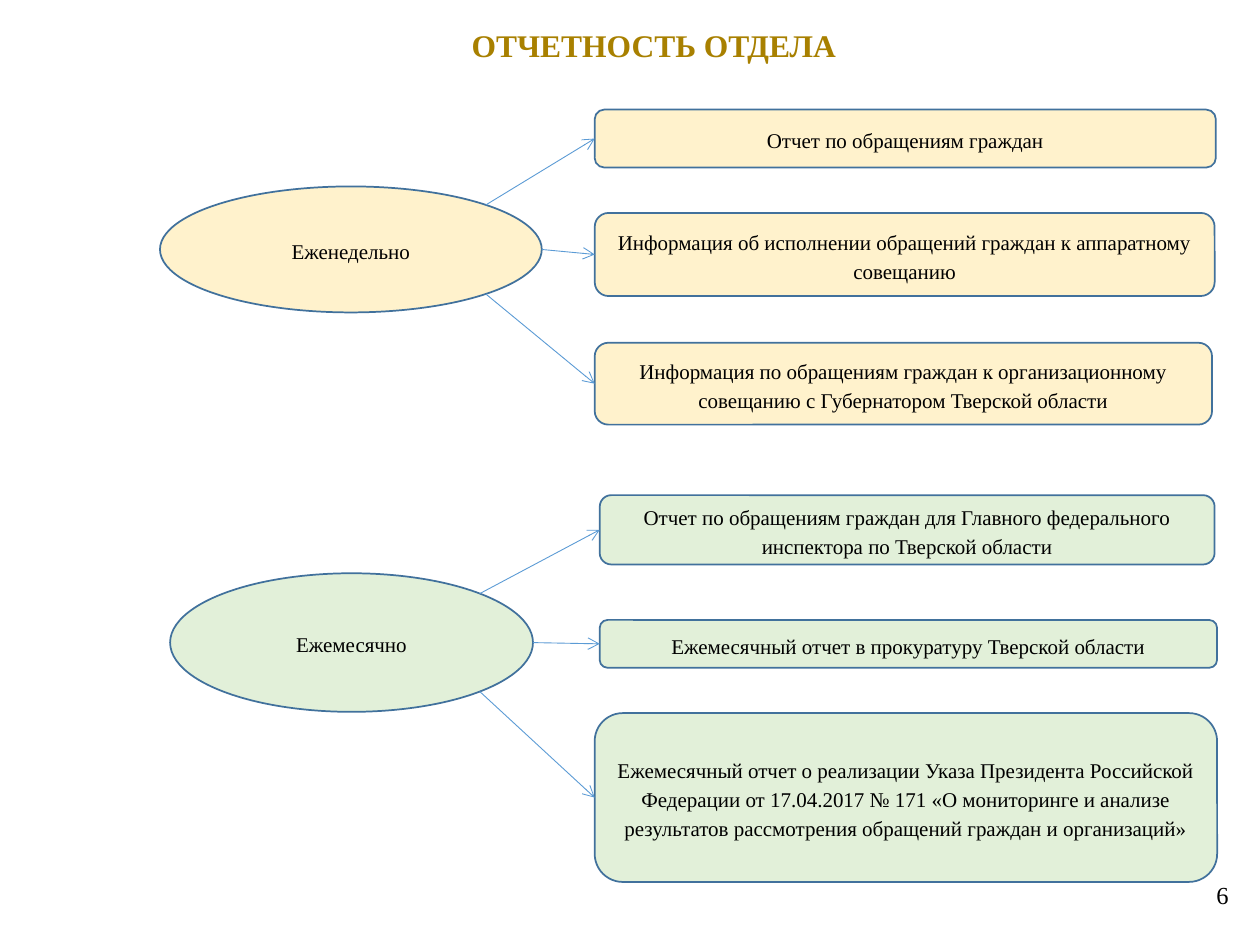
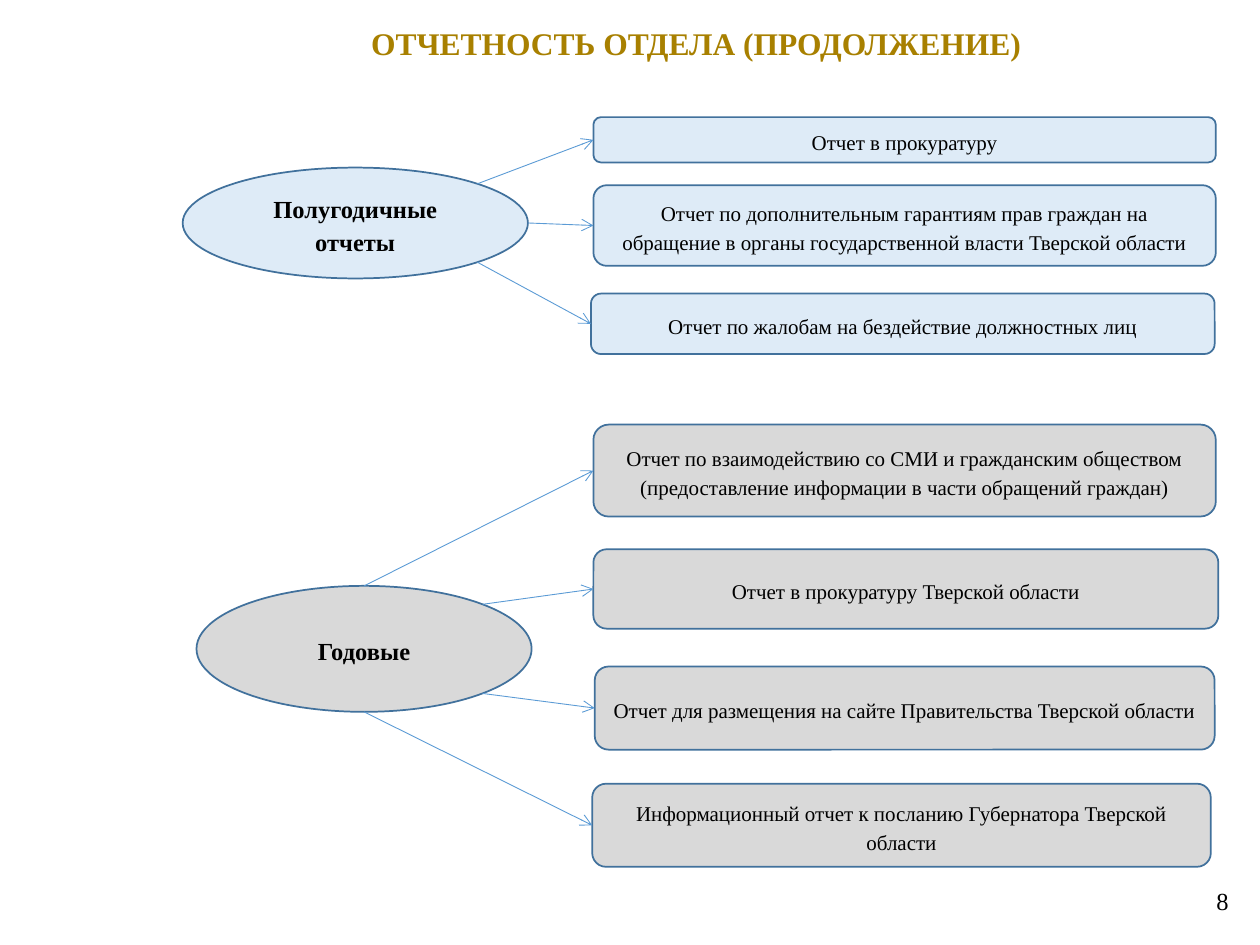
"""Build two slides that map reporting periods to the department's reports."""
from dataclasses import dataclass
from math import cos, radians, sin

from lxml.etree import SubElement as Sub
from pptx import Presentation
from pptx.dml.color import RGBColor as Rgb
from pptx.enum.shapes import MSO_CONNECTOR as Link, MSO_SHAPE as Kind
from pptx.enum.text import MSO_ANCHOR as Anchor, MSO_AUTO_SIZE as Fit, PP_ALIGN as Align
from pptx.oxml.ns import qn
from pptx.shapes.autoshape import Shape
from pptx.slide import Slide
from pptx.text.text import TextFrame as Frame
from pptx.util import Inches, Pt


@dataclass(frozen=True)
class Theme:
    font: str = "Times New Roman"
    gold: str = "A88000"
    ink: str = "000000"
    edge: str = "41719C"
    arrow: str = "5B9BD5"
    cream: str = "FFF2CC"
    green: str = "E2F0D9"
    blue: str = "DEEBF7"
    gray: str = "D9D9D9"
    head: float = 18
    large: float = 14
    small: float = 12
    space: float = 1.15


THEME = Theme()
FANS = {3: (-45, 0, 45), 4: (-90, -45, 45, 90)}


@dataclass(frozen=True)
class Area:
    left: float
    top: float
    width: float
    height: float

    def lengths(self) -> list[int]:
        return [Inches(n) for n in (self.left, self.top, self.width, self.height)]

    def rim(self, angle: float) -> tuple[int, int]:
        """Return the point of the inscribed ellipse at an angle."""
        turn = radians(angle)
        return (Inches(self.left + self.width * (1 + cos(turn)) / 2),
                Inches(self.top + self.height * (1 + sin(turn)) / 2))


@dataclass(frozen=True)
class Item:
    text: str
    area: Area


@dataclass(frozen=True)
class Group:
    period: Item
    fill: str
    reports: tuple[Item, ...]
    size: float = THEME.small
    bold: bool = False


@dataclass(frozen=True)
class Page:
    title: Item
    number: Item
    groups: tuple[Group, ...]


PAGES = (
    Page(
        Item("ОТЧЕТНОСТЬ ОТДЕЛА", Area(1.98, 0.16, 6.42, 0.7)),
        Item("6", Area(9.41, 6.9, 0.44, 0.4)),
        (
            Group(Item("Еженедельно", Area(1.27, 1.48, 3.03, 1)), THEME.cream, (
                Item("Отчет по обращениям граждан", Area(4.72, 0.87, 4.93, 0.46)),
                Item("Информация об исполнении обращений граждан к аппаратному совещанию",
                     Area(4.72, 1.69, 4.92, 0.66)),
                Item("Информация по обращениям граждан к организационному совещанию "
                     "с Губернатором Тверской области", Area(4.72, 2.72, 4.9, 0.65)),
            )),
            Group(Item("Ежемесячно", Area(1.35, 4.55, 2.88, 1.1)), THEME.green, (
                Item("Отчет по обращениям граждан для Главного федерального инспектора "
                     "по Тверской области", Area(4.76, 3.93, 4.88, 0.55)),
                Item("Ежемесячный отчет в прокуратуру Тверской области",
                     Area(4.76, 4.92, 4.9, 0.38)),
                Item("Ежемесячный отчет о реализации Указа Президента Российской Федерации "
                     "от 17.04.2017 № 171 «О мониторинге и анализе результатов рассмотрения "
                     "обращений граждан и организаций»", Area(4.72, 5.66, 4.94, 1.34)),
            )),
        ),
    ),
    Page(
        Item("ОТЧЕТНОСТЬ ОТДЕЛА (ПРОДОЛЖЕНИЕ)", Area(1.27, 0.14, 8.51, 0.7)),
        Item("8", Area(9.37, 6.95, 0.48, 0.4)),
        (
            Group(Item("Полугодичные отчеты", Area(1.45, 1.33, 2.74, 0.88)), THEME.blue, (
                Item("Отчет в прокуратуру", Area(4.71, 0.93, 4.94, 0.36)),
                Item("Отчет по дополнительным гарантиям прав граждан на обращение "
                     "в органы государственной власти Тверской области",
                     Area(4.71, 1.47, 4.94, 0.64)),
                Item("Отчет по жалобам на бездействие должностных лиц",
                     Area(4.69, 2.33, 4.95, 0.48)),
            ), THEME.large, True),
            Group(Item("Годовые", Area(1.56, 4.65, 2.66, 1)), THEME.gray, (
                Item("Отчет по взаимодействию со СМИ и гражданским обществом "
                     "(предоставление информации в части обращений граждан)",
                     Area(4.71, 3.37, 4.94, 0.73)),
                Item("Отчет в прокуратуру Тверской области", Area(4.71, 4.36, 4.96, 0.63)),
                Item("Отчет для размещения на сайте Правительства Тверской области",
                     Area(4.72, 5.29, 4.92, 0.66)),
                Item("Информационный отчет к посланию Губернатора Тверской области",
                     Area(4.7, 6.22, 4.91, 0.66)),
            ), THEME.large, True),
        ),
    ),
)


def write(frame: Frame, text: str, size: float, color: str = THEME.ink, bold: bool = False,
          align: Align = Align.CENTER, anchor: Anchor = Anchor.MIDDLE, space: float = 1.0) -> None:
    frame.text = text
    frame.word_wrap = True
    frame.auto_size = Fit.NONE
    frame.vertical_anchor = anchor
    line = frame.paragraphs[0]
    line.alignment = align
    line.line_spacing = space
    font = line.runs[0].font
    font.name, font.size, font.bold = THEME.font, Pt(size), bold
    font.color.rgb = Rgb.from_string(color)


def add_node(slide: Slide, kind: Kind, item: Item, fill: str,
             size: float = THEME.small, bold: bool = False) -> Shape:
    node = slide.shapes.add_shape(kind, *item.area.lengths())
    node.shadow.inherit = False
    node.fill.solid()
    node.fill.fore_color.rgb = Rgb.from_string(fill)
    node.line.color.rgb = Rgb.from_string(THEME.edge)
    node.line.width = Pt(1)
    write(node.text_frame, item.text, size, bold=bold, space=THEME.space)
    return node


def add_arrow(slide: Slide, start: tuple[int, int], box: Shape) -> None:
    arrow = slide.shapes.add_connector(Link.STRAIGHT, *start, *start)
    arrow.end_connect(box, 1)
    arrow.line.color.rgb = Rgb.from_string(THEME.arrow)
    arrow.line.width = Pt(0.5)
    Sub(arrow.line._get_or_add_ln(), qn("a:tailEnd"), type="arrow")
    Sub(arrow._element.spPr, qn("a:effectLst"))


def add_group(slide: Slide, group: Group) -> None:
    add_node(slide, Kind.OVAL, group.period, group.fill, group.size, group.bold)
    for angle, report in zip(FANS[len(group.reports)], group.reports):
        box = add_node(slide, Kind.ROUNDED_RECTANGLE, report, group.fill)
        add_arrow(slide, group.period.area.rim(angle), box)


def add_page(deck: Presentation, page: Page) -> None:
    slide = deck.slides.add_slide(deck.slide_layouts.get_by_name("Title Only"))
    title = slide.shapes.title
    title.left, title.top, title.width, title.height = page.title.area.lengths()
    write(title.text_frame, page.title.text, THEME.head, THEME.gold, True, anchor=Anchor.TOP)
    number = slide.shapes.add_textbox(*page.number.area.lengths())
    write(number.text_frame, page.number.text, THEME.large, align=Align.RIGHT)
    for group in page.groups:
        add_group(slide, group)


def main() -> None:
    deck = Presentation()
    deck.slide_width, deck.slide_height = Inches(10), Inches(7.5)
    for page in PAGES:
        add_page(deck, page)
    deck.save("out.pptx")


if __name__ == "__main__":
    main()
